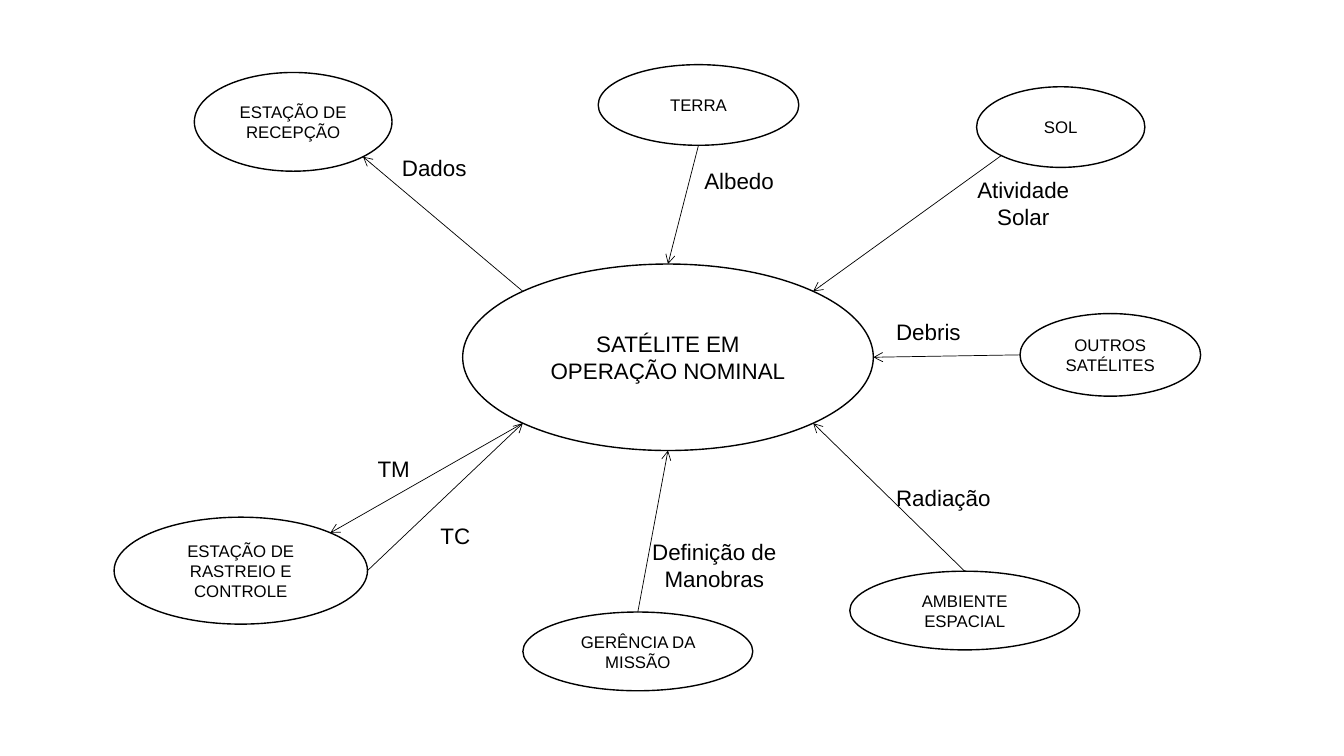
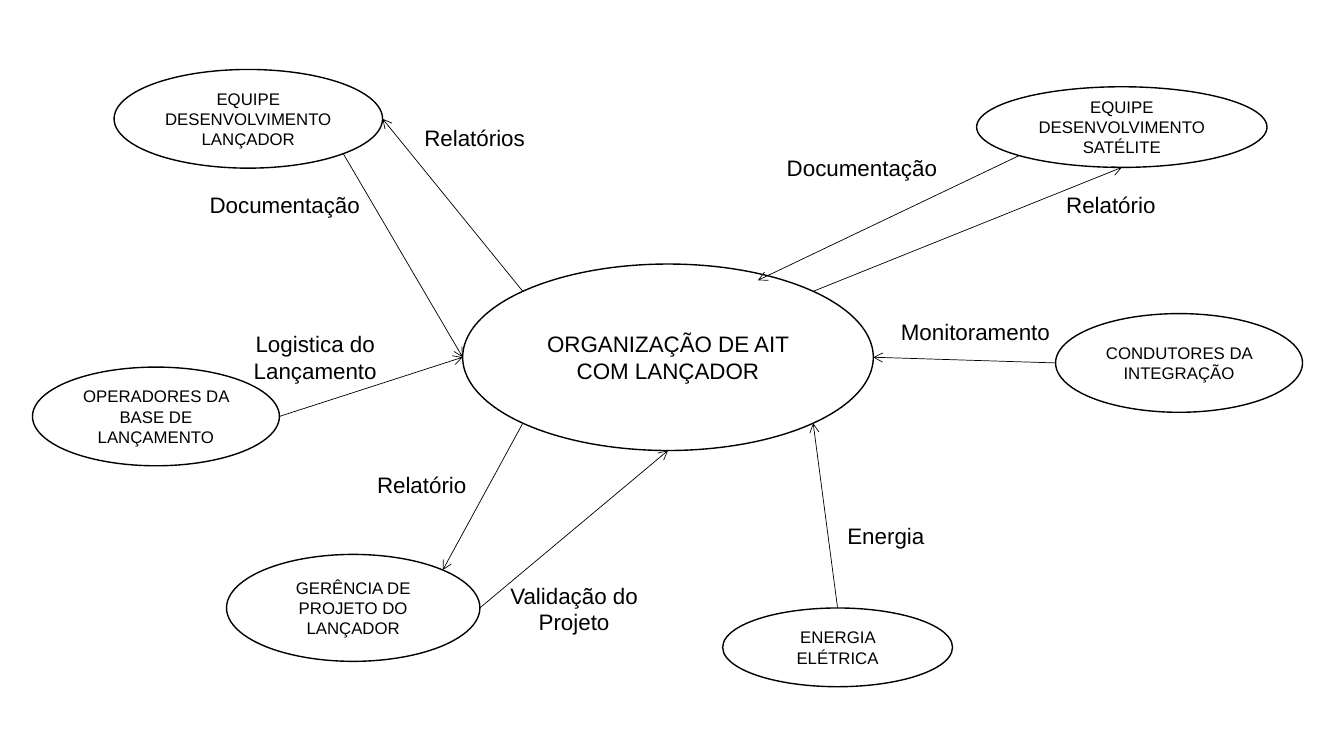
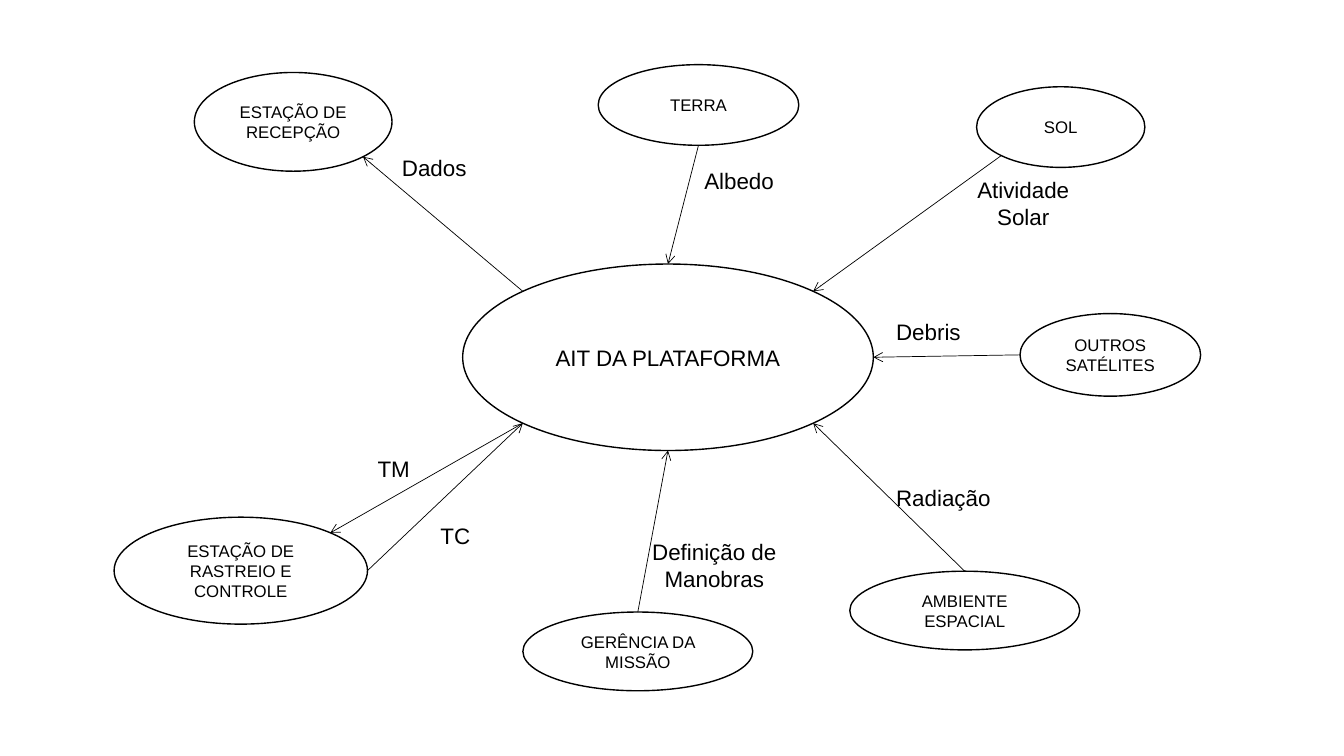
import dataclasses
import enum
import math

import pptx
import pptx.dml.color
import pptx.enum.shapes
import pptx.enum.text
import pptx.oxml
import pptx.oxml.ns
import pptx.util

Pt = pptx.util.Pt
Align = pptx.enum.text.PP_ALIGN
Anchor = pptx.enum.text.MSO_ANCHOR
AutoSize = pptx.enum.text.MSO_AUTO_SIZE


@dataclasses.dataclass(frozen=True)
class Theme:
    ink: str = "000000"
    paper: str = "FFFFFF"
    font: str = "Arial"
    large: float = 16
    small: float = 12
    outline: float = 1
    arrow: float = 0.5
    one_line: float = 26.6
    two_lines: float = 46


class Site(enum.IntEnum):
    """Connection sites of an ellipse, counterclockwise from the top."""
    TOP = 0
    TOP_LEFT = 1
    LEFT = 2
    BOTTOM_LEFT = 3
    BOTTOM = 4
    BOTTOM_RIGHT = 5
    RIGHT = 6
    TOP_RIGHT = 7


@dataclasses.dataclass(frozen=True)
class Diagram:
    nodes: dict    # name: (text, box)
    arrows: list   # (start, end), each (node, site) or a free point
    labels: list   # (text, left, top, width, height, alignment)


theme = Theme()
LEFT, CENTER = Align.LEFT, Align.CENTER
ONE, TWO = theme.one_line, theme.two_lines
HUB_BOX = (330.5, 188.6, 293.3, 133.2)

# Satellite surroundings, shared by two slides
SATELLITE = Diagram(
    nodes={
        "reception": ("ESTAÇÃO DE RECEPÇÃO", (138.8, 51.8, 141.2, 70.5)),
        "tracking": ("ESTAÇÃO DE RASTREIO E CONTROLE", (81.5, 369.4, 181, 76.4)),
        "space": ("AMBIENTE ESPACIAL", (607, 408, 164.2, 56.2)),
        "others": ("OUTROS SATÉLITES", (728.6, 224, 129, 59)),
        "sun": ("SOL", (697.6, 62, 120.2, 57.6)),
        "earth": ("TERRA", (427.3, 46.2, 143.3, 57.6)),
        "mission": ("GERÊNCIA DA MISSÃO", (373.5, 437.2, 164.2, 56.2)),
    },
    arrows=[
        (("hub", Site.TOP_LEFT), ("reception", Site.BOTTOM_RIGHT)),
        (("hub", Site.BOTTOM_LEFT), ("tracking", Site.TOP_RIGHT)),
        (("tracking", Site.RIGHT), ("hub", Site.BOTTOM_LEFT)),
        (("space", Site.TOP), ("hub", Site.BOTTOM_RIGHT)),
        (("others", Site.LEFT), ("hub", Site.RIGHT)),
        (("sun", Site.BOTTOM_LEFT), ("hub", Site.TOP_RIGHT)),
        (("earth", Site.BOTTOM), ("hub", Site.TOP)),
        (("mission", Site.TOP), ("hub", Site.BOTTOM)),
    ],
    labels=[
        ("Dados", 280, 106.5, 165, ONE, LEFT),
        ("TC", 307.5, 369.4, 165, ONE, LEFT),
        ("TM", 262.6, 321.8, 165, ONE, LEFT),
        ("Radiação", 633, 342, 165, ONE, LEFT),
        ("Debris", 633, 224, 165, ONE, LEFT),
        ("Atividade Solar", 680.4, 122.4, 101, TWO, CENTER),
        ("Albedo", 477.4, 116, 101, ONE, CENTER),
        ("Definição de Manobras", 427.7, 381, 165, TWO, CENTER),
    ],
)

# Launcher organisation surroundings
LAUNCHER = Diagram(
    nodes={
        "launcher team": ("EQUIPE DESENVOLVIMENTO LANÇADOR", (81.5, 49.6, 191.8, 70.5)),
        "project": ("GERÊNCIA DE PROJETO DO LANÇADOR", (161.8, 396, 181, 76.4)),
        "power": ("ENERGIA ELÉTRICA", (516.2, 434.3, 164.2, 56.2)),
        "integration": ("CONDUTORES DA INTEGRAÇÃO", (754, 224, 176.4, 70.5)),
        "satellite team": ("EQUIPE DESENVOLVIMENTO SATÉLITE", (697.6, 62, 207.4, 57.6)),
        "operators": ("OPERADORES DA BASE DE LANÇAMENTO", (23.2, 262.2, 176.4, 70.5)),
    },
    arrows=[
        (("hub", Site.TOP_LEFT), ("launcher team", Site.RIGHT)),
        (("launcher team", Site.BOTTOM_RIGHT), ("hub", Site.LEFT)),
        (("hub", Site.BOTTOM_LEFT), ("project", Site.TOP_RIGHT)),
        (("project", Site.RIGHT), ("hub", Site.BOTTOM)),
        (("power", Site.TOP), ("hub", Site.BOTTOM_RIGHT)),
        (("integration", Site.LEFT), ("hub", Site.RIGHT)),
        (("hub", Site.TOP_RIGHT), ("satellite team", Site.BOTTOM)),
        (("satellite team", Site.BOTTOM_LEFT), (541.4, 200.2)),
        (("operators", Site.RIGHT), ("hub", Site.LEFT)),
    ],
    labels=[
        ("Documentação", 142.6, 133.2, 165, ONE, LEFT),
        ("Validação do Projeto", 355.7, 412, 108.7, TWO, CENTER),
        ("Relatório", 262.2, 332.8, 165, ONE, LEFT),
        ("Energia", 598.2, 369.4, 165, ONE, LEFT),
        ("Monitoramento", 636.4, 224, 165, ONE, LEFT),
        ("Relatório", 743, 133.2, 101, ONE, CENTER),
        ("Documentação", 549.4, 106.5, 132.5, ONE, CENTER),
        ("Relatórios", 296, 85, 165, ONE, LEFT),
        ("Logistica do Lançamento", 142.6, 232.6, 165, TWO, CENTER),
    ],
)


def color(code):
    return pptx.dml.color.RGBColor.from_string(code)


def write(frame, text, *, size, align=CENTER, anchor=Anchor.TOP, fit=AutoSize.NONE):
    frame.word_wrap = True
    frame.auto_size = fit
    frame.vertical_anchor = anchor
    para = frame.paragraphs[0]
    para.alignment = align
    span = para.add_run()
    span.text = text
    span.font.name = theme.font
    span.font.size = Pt(size)
    span.font.color.rgb = color(theme.ink)


def add_node(page, text, box, size):
    node = page.shapes.add_shape(
        pptx.enum.shapes.MSO_SHAPE.OVAL, *(Pt(length) for length in box))
    node.shadow.inherit = False
    node.fill.solid()
    node.fill.fore_color.rgb = color(theme.paper)
    node.line.color.rgb = color(theme.ink)
    node.line.width = Pt(theme.outline)
    write(node.text_frame, text, size=size, anchor=Anchor.MIDDLE)
    return node


def add_label(page, text, left, top, width, height, align):
    box = page.shapes.add_textbox(Pt(left), Pt(top), Pt(width), Pt(height))
    write(box.text_frame, text, size=theme.large, align=align,
          fit=AutoSize.SHAPE_TO_FIT_TEXT)


def site_point(node, site):
    angle = math.radians(90 + 45 * site)
    x = node.left + node.width / 2 * (1 + math.cos(angle))
    y = node.top + node.height / 2 * (1 - math.sin(angle))
    return round(x), round(y)


def add_arrow(page, nodes, start, end):
    points, joints = [], []
    for tag, (place, detail) in (("a:stCxn", start), ("a:endCxn", end)):
        if place in nodes:
            points += site_point(nodes[place], detail)
            joints.append((tag, nodes[place].shape_id, detail))
        else:
            points += [Pt(place), Pt(detail)]
    arrow = page.shapes.add_connector(
        pptx.enum.shapes.MSO_CONNECTOR.STRAIGHT, *points)
    arrow.line.color.rgb = color(theme.ink)
    arrow.line.width = Pt(theme.arrow)

    # Arrowhead, no shadow, and joints that follow the nodes
    element = arrow._element
    properties = element.spPr
    head = pptx.oxml.ns.qn("a:ln")
    properties.find(head).append(new_element("a:tailEnd", type="arrow"))
    properties.append(new_element("a:effectLst"))
    for tag, shape_id, site in joints:
        element.nvCxnSpPr.cNvCxnSpPr.append(
            new_element(tag, id=str(shape_id), idx=str(int(site))))


def new_element(tag, **attributes):
    element = pptx.oxml.parse_xml(f"<{tag} {pptx.oxml.ns.nsdecls('a')}/>")
    for name, value in attributes.items():
        element.set(name, value)
    return element


def add_context_page(deck, hub_text, diagram):
    page = deck.slides.add_slide(deck.slide_layouts.get_by_name("Blank"))
    nodes = {"hub": add_node(page, hub_text, HUB_BOX, theme.large)}
    for name, (text, box) in diagram.nodes.items():
        nodes[name] = add_node(page, text, box, theme.small)
    for start, end in diagram.arrows:
        add_arrow(page, nodes, start, end)
    for label in diagram.labels:
        add_label(page, *label)


deck = pptx.Presentation()
deck.slide_width, deck.slide_height = Pt(960), Pt(540)
add_context_page(deck, "SATÉLITE EM OPERAÇÃO NOMINAL", SATELLITE)
add_context_page(deck, "ORGANIZAÇÃO DE AIT COM LANÇADOR", LAUNCHER)
add_context_page(deck, "AIT DA PLATAFORMA", SATELLITE)
deck.save("out.pptx")
